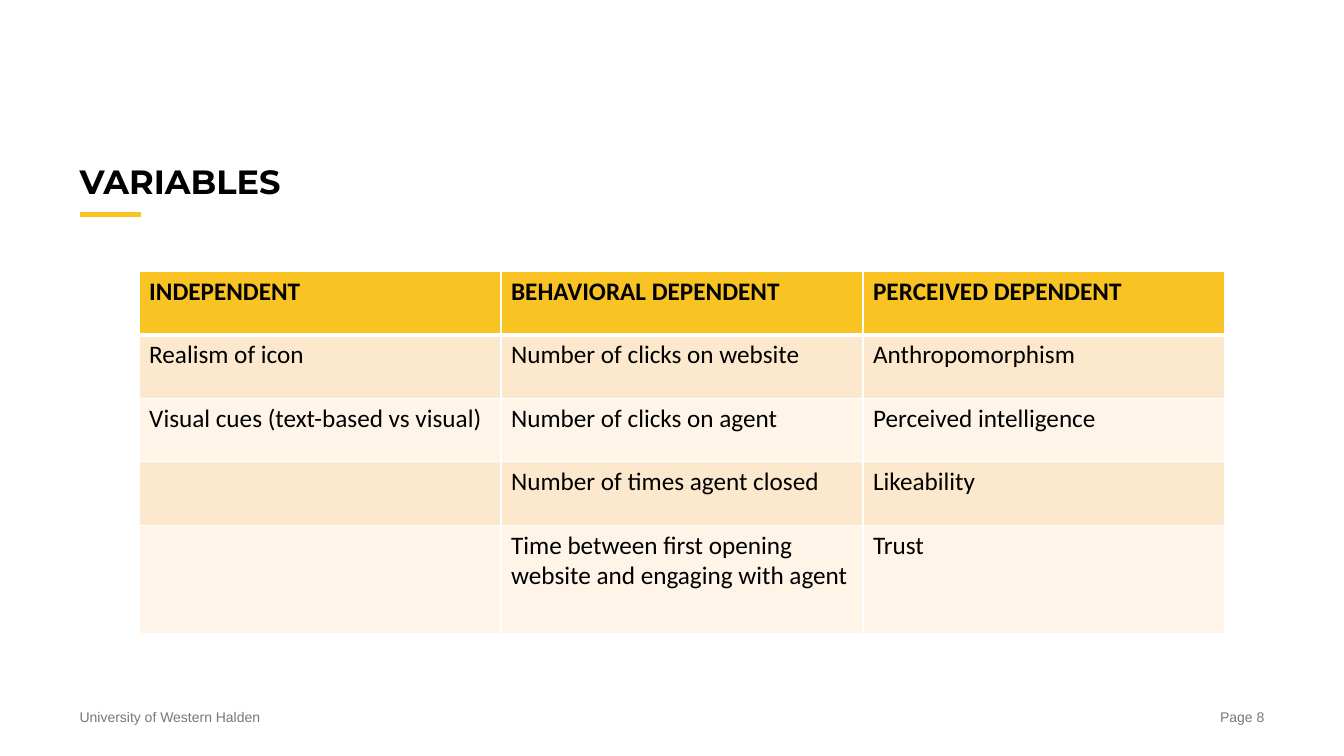
"""Build the slide listing the study variables in a three-column table."""
from lxml import etree
from pptx import Presentation
from pptx.dml.color import RGBColor
from pptx.enum.shapes import MSO_CONNECTOR
from pptx.enum.text import MSO_ANCHOR, MSO_AUTO_SIZE, PP_ALIGN
from pptx.oxml import parse_xml
from pptx.oxml.ns import nsdecls, qn
from pptx.util import Inches, Pt

BLACK = RGBColor(0x00, 0x00, 0x00)
GRAY = RGBColor(0x78, 0x78, 0x78)
GOLD = RGBColor(0xF9, 0xC4, 0x23)
HEADER = RGBColor(0xF8, 0xC3, 0x23)
BANDS = [RGBColor(0xFE, 0xF5, 0xE8), RGBColor(0xFC, 0xE9, 0xCD)]

ROWS = [
    ["INDEPENDENT", "BEHAVIORAL DEPENDENT", "PERCEIVED DEPENDENT"],
    ["Realism of icon", "Number of clicks on website", "Anthropomorphism"],
    ["Visual cues (text-based vs visual)", "Number of clicks on agent", "Perceived intelligence"],
    ["", "Number of times agent closed", "Likeability"],
    ["", "Time between first opening website and engaging with agent", "Trust"],
]
ROW_HEIGHTS = [0.63, 0.63, 0.63, 0.63, 1.08]
COL_WIDTH = 3.59


def write(tf, text, size=18, font="Calibri", color=BLACK, bold=False, align=PP_ALIGN.LEFT):
    p = tf.paragraphs[0]
    p.alignment = align
    r = p.add_run()
    r.text = text
    r.font.size = Pt(size)
    r.font.name = font
    r.font.color.rgb = color
    r.font.bold = bold


def clear_margins(tf):
    tf.margin_left = tf.margin_top = tf.margin_right = tf.margin_bottom = 0
    tf.word_wrap = True


prs = Presentation()
prs.slide_width, prs.slide_height = Inches(13.33), Inches(7.5)
s = prs.slides.add_slide(prs.slide_layouts[5])

title = s.shapes.title
title.left, title.top = Inches(0.79), Inches(0.79)
title.width, title.height = Inches(11.75), Inches(1.21)
tf = title.text_frame
clear_margins(tf)
tf.auto_size = MSO_AUTO_SIZE.NONE
tf.vertical_anchor = MSO_ANCHOR.BOTTOM
write(tf, "VARIABLES", size=24, font="Montserrat", bold=True)

rule = s.shapes.add_connector(
    MSO_CONNECTOR.STRAIGHT, Inches(0.79), Inches(2.13), Inches(1.4), Inches(2.13))
rule.line.color.rgb = GOLD
rule.line.width = Pt(4)
etree.SubElement(rule._element.spPr, qn("a:effectLst"))

table = s.shapes.add_table(
    len(ROWS), len(ROWS[0]), Inches(1.38), Inches(2.69),
    Inches(COL_WIDTH * len(ROWS[0])), Inches(sum(ROW_HEIGHTS))).table
for col in table.columns:
    col.width = Inches(COL_WIDTH)
for i, (texts, height) in enumerate(zip(ROWS, ROW_HEIGHTS)):
    table.rows[i].height = Inches(height)
    for j, text in enumerate(texts):
        cell = table.cell(i, j)
        tcPr = cell._tc.get_or_add_tcPr()
        for side in "LRTB":
            heavy = (i, side) in [(0, "B"), (1, "T")]
            tcPr.append(parse_xml(
                f'<a:ln{side} {nsdecls("a")} w="{Pt(3 if heavy else 1)}"><a:solidFill>'
                f'<a:srgbClr val="FFFFFF"/></a:solidFill></a:ln{side}>'))
        cell.fill.solid()
        cell.fill.fore_color.rgb = BANDS[i % 2] if i else HEADER
        if text:
            write(cell.text_frame, text, bold=i == 0)

for text, left, align in [
    ("University of Western Halden", 0.79, PP_ALIGN.LEFT),
    ("Page 8", 10.3, PP_ALIGN.RIGHT),
]:
    sp = s.shapes.add_textbox(Inches(left), Inches(7.03), Inches(2.24), Inches(0.17))
    clear_margins(sp.text_frame)
    write(sp.text_frame, text, size=10, font="Arial", color=GRAY, align=align)

prs.save("out.pptx")
